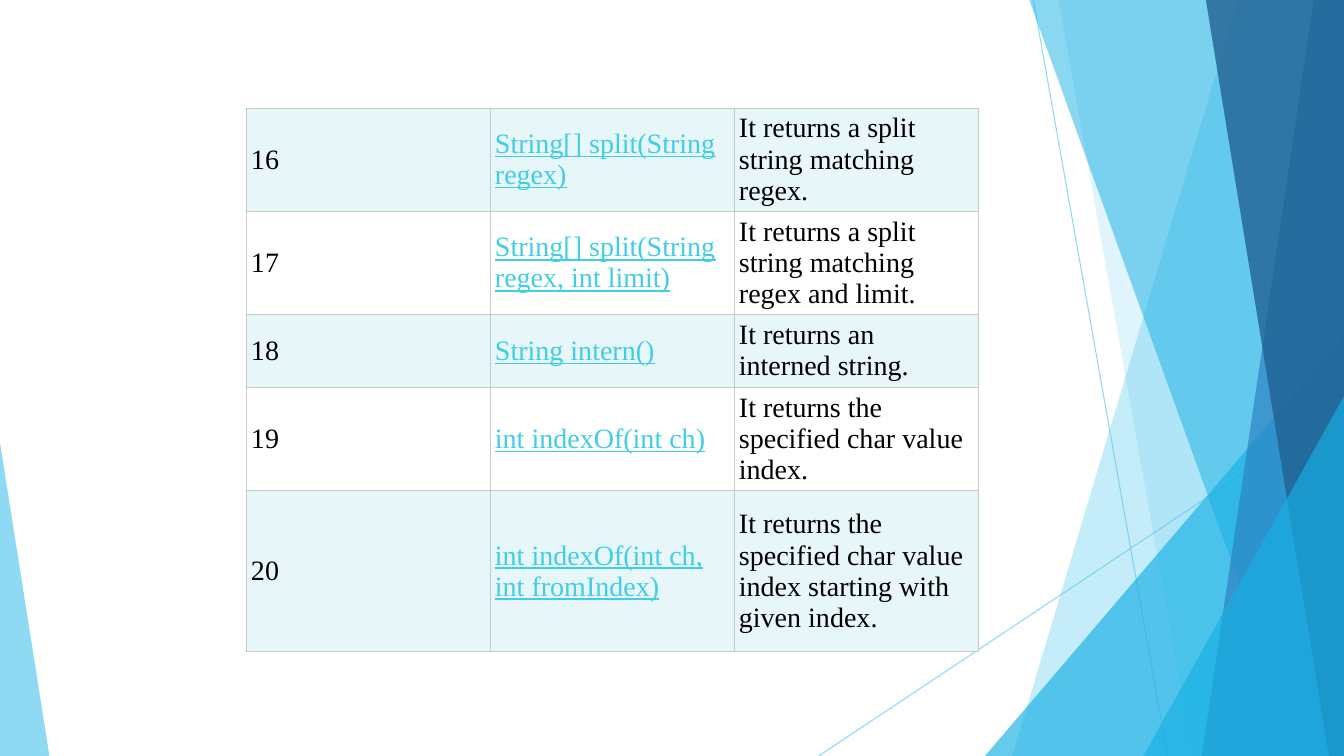
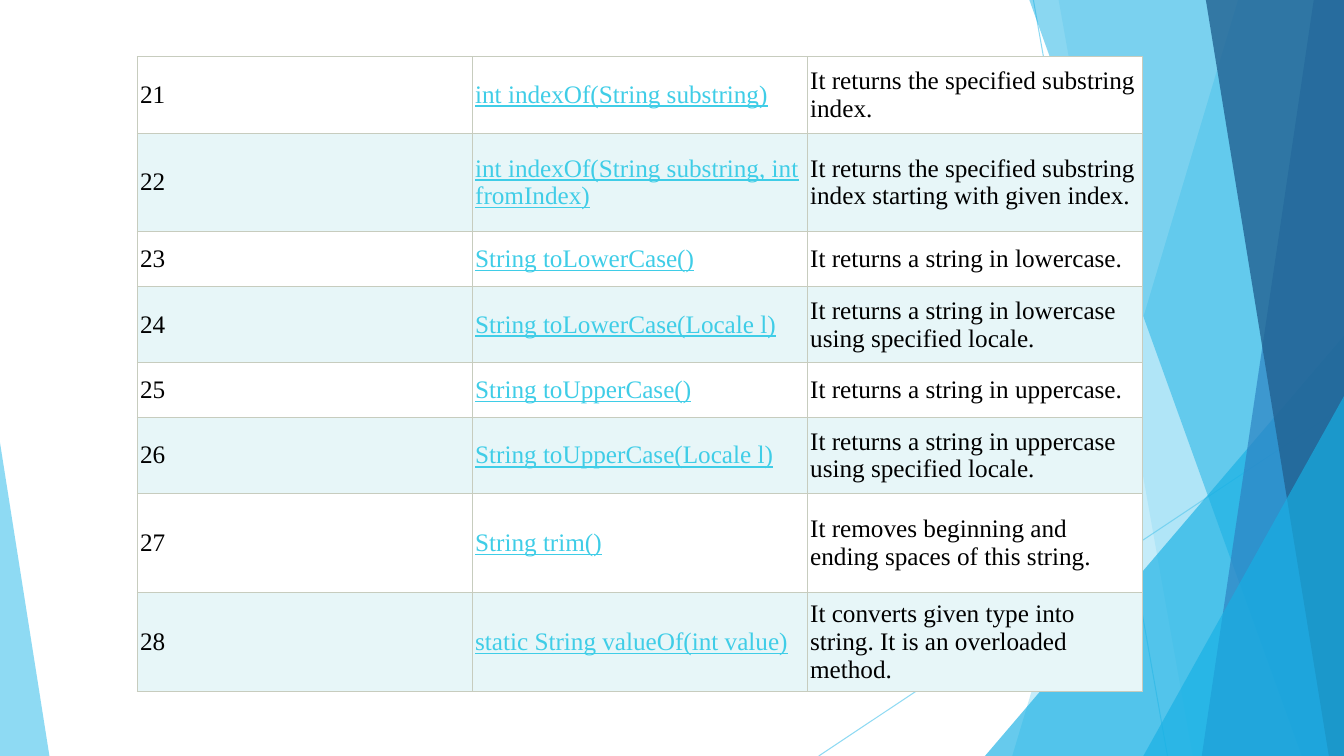
from dataclasses import dataclass

from lxml.etree import SubElement
from pptx import Presentation
from pptx.dml.color import RGBColor
from pptx.enum.shapes import MSO_CONNECTOR, MSO_SHAPE
from pptx.enum.text import MSO_ANCHOR
from pptx.oxml import parse_xml
from pptx.oxml.ns import nsdecls, qn
from pptx.util import Inches, Pt


@dataclass(frozen=True)
class Theme:
    font: str = "Times New Roman"
    ink: str = "000000"
    link: str = "3FCDE7"
    plain: str = "FFFFFF"
    stripe: str = "E7F6F8"
    border: str = "C7CCBE"
    border_width: float = 0.6
    sky: str = "5FCBEF"
    cyan: str = "17B0E4"
    blue: str = "2E83C3"
    navy: str = "226292"
    ray_width: float = 0.75
    large: int = 20
    medium: int = 18


@dataclass(frozen=True)
class Box:
    left: int
    top: int
    width: int
    height: int

    def across(self, percent):
        return round(self.width * percent / 100)

    def down(self, percent):
        return round(self.height * percent / 100)

    def inner(self, left, top, width, height):
        return Box(self.left + self.across(left), self.top + self.down(top),
                   self.across(width), self.down(height))

    def point(self, x, y):
        return self.left + self.across(x), self.top + self.down(y)


THEME = Theme()
PAGE = Box(0, 0, Inches(13.33), Inches(7.5))

RAYS = [((76.89, 0), (86.87, 100)), ((100, 53.73), (60.92, 100))]

SEARCH_METHODS = [
    (16, "String[] split(String regex)", "It returns a split string matching regex.", 13.47),
    (17, "String[] split(String regex, int limit)",
     "It returns a split string matching regex and limit.", 13.47),
    (18, "String intern()", "It returns an interned string.", 9.6),
    (19, "int indexOf(int ch)", "It returns the specified char value index.", 13.47),
    (20, "int indexOf(int ch, int fromIndex)",
     "It returns the specified char value index starting with given index.", 21.33),
]

CASE_METHODS = [
    (21, "int indexOf(String substring)", "It returns the specified substring index.", 10.13),
    (22, "int indexOf(String substring, int fromIndex)",
     "It returns the specified substring index starting with given index.", 13.07),
    (23, "String toLowerCase()", "It returns a string in lowercase.", 7.2),
    (24, "String toLowerCase(Locale l)",
     "It returns a string in lowercase using specified locale.", 10.13),
    (25, "String toUpperCase()", "It returns a string in uppercase.", 7.2),
    (26, "String toUpperCase(Locale l)",
     "It returns a string in uppercase using specified locale.", 10.13),
    (27, "String trim()", "It removes beginning and ending spaces of this string.", 13.07),
    (28, "static String valueOf(int value)",
     "It converts given type into string. It is an overloaded method.", 13.07),
]


def set_alpha(shape, percent):
    for color in shape.element.spPr.iter(qn("a:srgbClr")):
        SubElement(color, qn("a:alpha"), val=str(percent * 1000))


def paint(shape, color, alpha):
    shape.shadow.inherit = False
    shape.fill.solid()
    shape.fill.fore_color.rgb = RGBColor.from_string(color)
    shape.line.fill.background()
    set_alpha(shape, alpha)


def add_ray(page, box, start, end):
    ray = page.shapes.add_connector(MSO_CONNECTOR.STRAIGHT, *box.point(*start), *box.point(*end))
    ray.line.color.rgb = RGBColor.from_string(THEME.sky)
    ray.line.width = Pt(THEME.ray_width)
    set_alpha(ray, 70)
    SubElement(ray.element.spPr, qn("a:effectLst"))


def add_band(page, box, top_x, bottom_x, color, alpha):
    outline = page.shapes.build_freeform(*box.point(top_x, 0))
    outline.add_line_segments(
        [box.point(100, 0), box.point(100, 100), box.point(bottom_x, 100)], close=True)
    paint(outline.convert_to_shape(), color, alpha)


def add_wedge(page, box, apex, color, alpha):
    wedge = page.shapes.add_shape(
        MSO_SHAPE.ISOSCELES_TRIANGLE, box.left, box.top, box.width, box.height)
    wedge.adjustments[0] = apex
    paint(wedge, color, alpha)


def add_facets(page, box):
    for start, end in RAYS:
        add_ray(page, box, start, end)
    add_band(page, box, 92.12, 75.32, THEME.sky, 36)
    add_band(page, box, 78.77, 88.75, THEME.sky, 20)
    add_wedge(page, box.inner(73.29, 44.4, 26.71, 55.6), 1, THEME.cyan, 66)
    add_band(page, box, 76.59, 96.85, THEME.cyan, 50)
    add_band(page, box, 97.75, 89.42, THEME.blue, 70)
    add_band(page, box, 89.72, 98.87, THEME.navy, 80)
    add_wedge(page, box.inner(85.07, 52.4, 14.93, 47.6), 1, THEME.cyan, 66)
    add_wedge(page, box.inner(0, 58.53, 3.68, 41.47), 0, THEME.sky, 70)


def move_to_layout(page, layout):
    tree = layout.element.cSld.spTree
    for placeholder in list(layout.placeholders):
        tree.remove(placeholder.element)
    for shape in list(page.shapes):
        tree.append(shape.element)


def add_borders(cell):
    properties = cell._tc.get_or_add_tcPr()
    for index, side in enumerate(("lnL", "lnR", "lnT", "lnB")):
        properties.insert(index, parse_xml(
            f'<a:{side} {nsdecls("a")} w="{int(Pt(THEME.border_width))}"><a:solidFill>'
            f'<a:srgbClr val="{THEME.border}"/></a:solidFill></a:{side}>'))


def fill_cell(cell, text, color, background, size, inset, underline):
    cell.fill.solid()
    cell.fill.fore_color.rgb = RGBColor.from_string(background)
    add_borders(cell)
    cell.vertical_anchor = MSO_ANCHOR.MIDDLE
    cell.margin_left = cell.margin_right = cell.margin_top = cell.margin_bottom = inset
    span = cell.text_frame.paragraphs[0].add_run()
    span.text = text
    span.font.name = THEME.font
    span.font.size = Pt(size)
    span.font.underline = underline
    span.font.color.rgb = RGBColor.from_string(color)


def add_method_table(page, box, methods, size, inset):
    table = page.shapes.add_table(
        len(methods), 3, box.left, box.top, box.width, box.height).table
    table.first_row = table.horz_banding = False
    for row, (number, signature, meaning, share) in zip(table.rows, methods):
        row.height = PAGE.down(share)
        background = THEME.plain if number % 2 else THEME.stripe
        for cell, text in zip(row.cells, (str(number), signature, meaning)):
            is_link = text == signature
            fill_cell(cell, text, THEME.link if is_link else THEME.ink,
                      background, size, inset, is_link)


def main():
    deck = Presentation()
    deck.slide_width, deck.slide_height = PAGE.width, PAGE.height
    layout = deck.slide_layouts.get_by_name("Blank")
    first, second = [deck.slides.add_slide(layout) for _ in range(2)]
    add_facets(first, PAGE)
    move_to_layout(first, layout)
    add_method_table(first, PAGE.inner(18.3, 14.27, 54.46, 71.34),
                     SEARCH_METHODS, THEME.large, Inches(0.05))
    add_method_table(second, PAGE.inner(10.2, 7.47, 74.79, 84),
                     CASE_METHODS, THEME.medium, Inches(0.03))
    deck.save("out.pptx")


if __name__ == "__main__":
    main()
